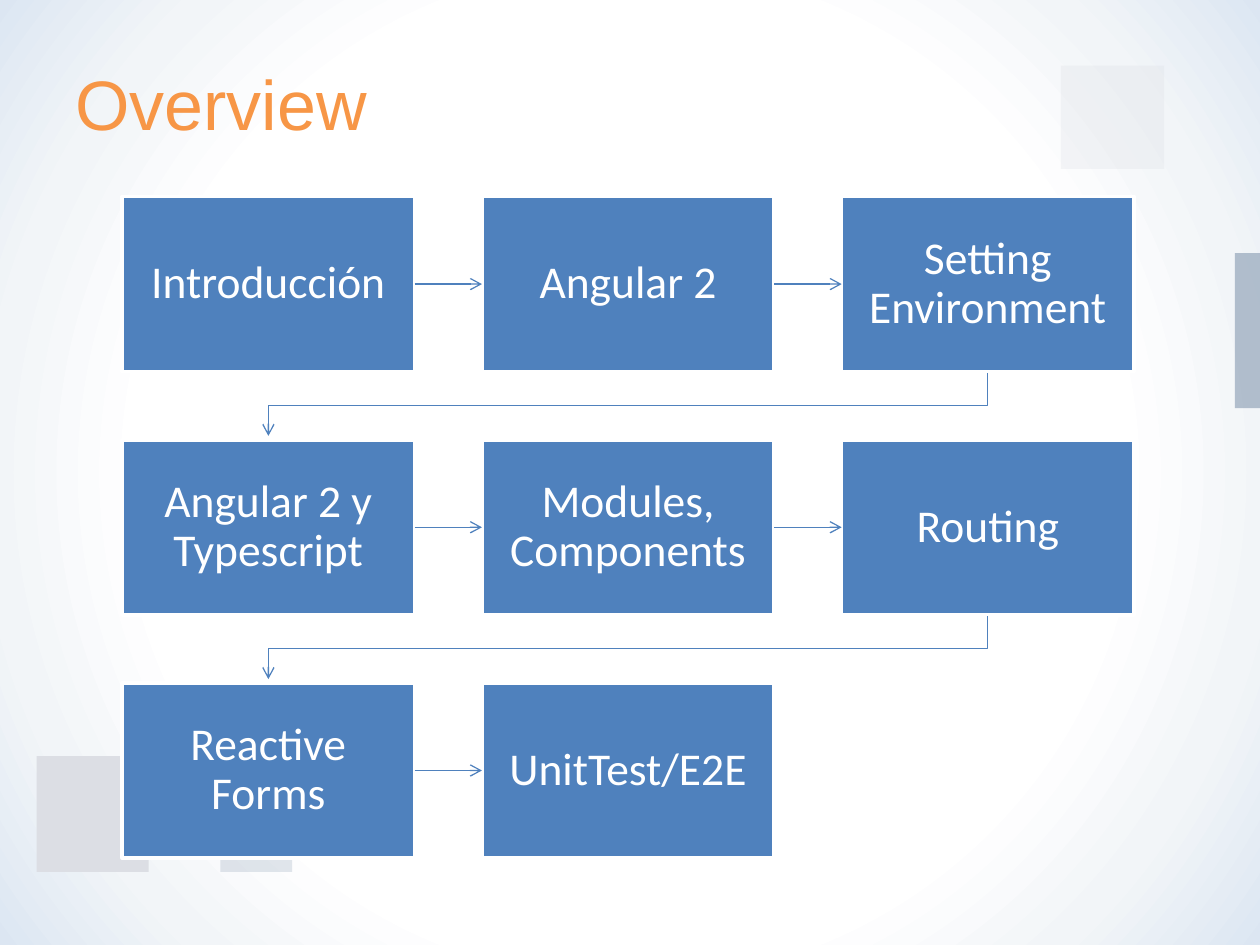
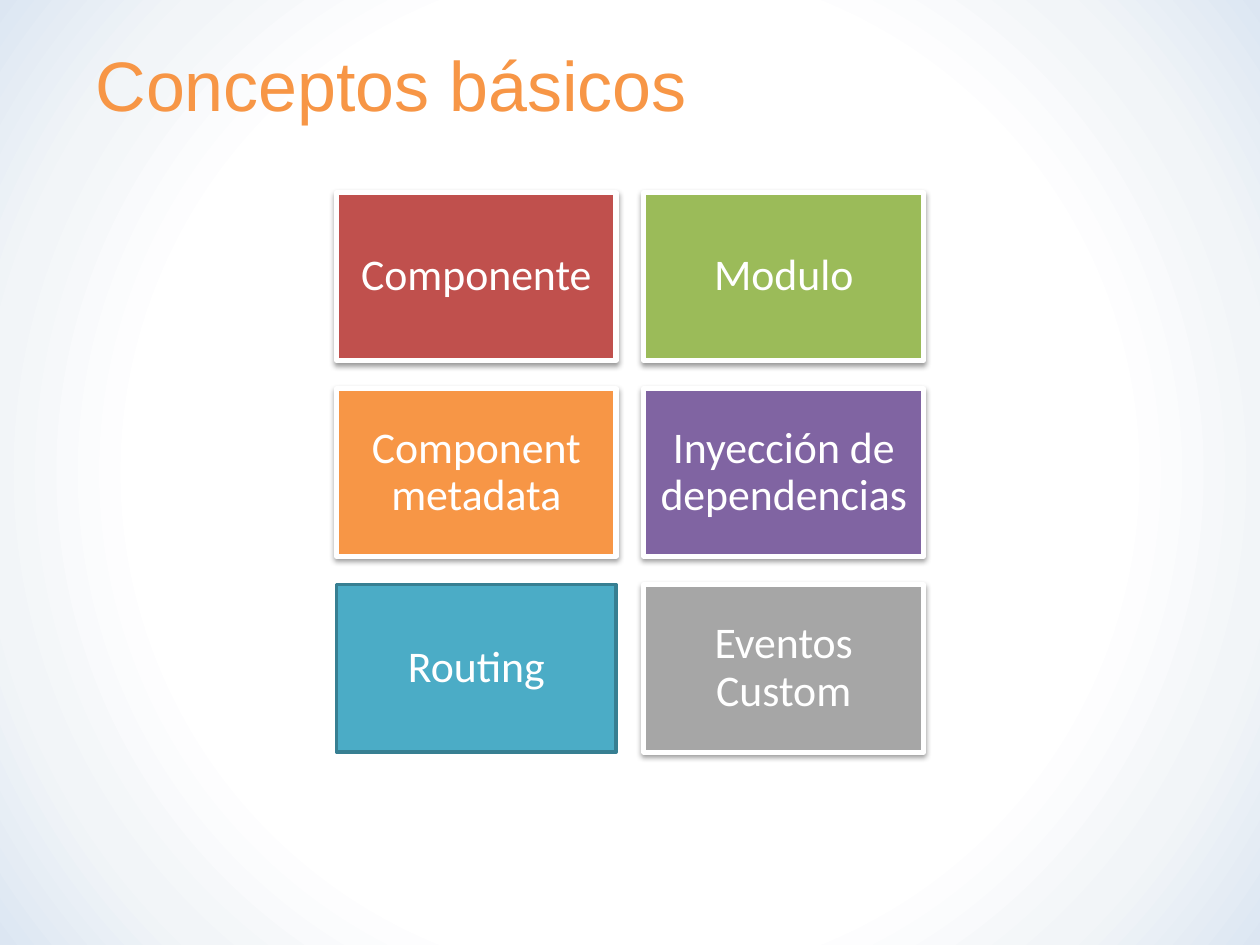
from dataclasses import dataclass

from lxml.etree import SubElement
from pptx import Presentation
from pptx.dml.color import RGBColor
from pptx.enum.shapes import MSO_CONNECTOR, MSO_SHAPE
from pptx.enum.text import MSO_ANCHOR, PP_ALIGN
from pptx.oxml.ns import qn
from pptx.util import Inches, Pt

WHITE = RGBColor(0xFF, 0xFF, 0xFF)
MIST = RGBColor(0xF2, 0xF5, 0xF8)
PALE_BLUE = RGBColor(0xDC, 0xE6, 0xF2)
STEEL = RGBColor(0x85, 0x99, 0xB0)
SILVER = RGBColor(0xDC, 0xDE, 0xE4)
BLUE = RGBColor(0x4F, 0x81, 0xBD)
RED = RGBColor(0xC0, 0x50, 0x4D)
GREEN = RGBColor(0x9B, 0xBB, 0x59)
ORANGE = RGBColor(0xF7, 0x96, 0x46)
PURPLE = RGBColor(0x80, 0x64, 0xA2)
AQUA = RGBColor(0x4B, 0xAC, 0xC6)
DARK_AQUA = RGBColor(0x37, 0x7F, 0x92)
GRAY = RGBColor(0xA6, 0xA6, 0xA6)

TITLE_FONT = "Arial"
BODY_FONT = "Calibri"

TOPICS = ["Introducción", "Angular 2", "Setting Environment",
          "Angular 2 y Typescript", "Modules, Components", "Routing",
          "Reactive Forms", "UnitTest/E2E"]
CONCEPTS = [("Componente", RED), ("Modulo", GREEN),
            ("Component metadata", ORANGE), ("Inyección de dependencias", PURPLE),
            ("Routing", AQUA), ("Eventos Custom", GRAY)]
SQUARES = [((9.8, 2.01, 0.2, 1.23), STEEL, 60),
           ((1.75, 6.36, 0.57, 0.56), STEEL, 24),
           ((0.29, 6, 0.89, 0.92), SILVER, 100),
           ((8.42, 0.52, 0.82, 0.82), SILVER, 28)]


@dataclass
class Grid:
    left: float
    top: float
    width: float
    height: float
    gap_x: float
    gap_y: float
    columns: int

    def cell(self, index):
        row, column = divmod(index, self.columns)
        return (self.left + column * (self.width + self.gap_x),
                self.top + row * (self.height + self.gap_y),
                self.width, self.height)


TOPIC_GRID = Grid(0.97, 1.56, 2.32, 1.39, 0.535, 0.54, 3)
CONCEPT_GRID = Grid(2.67, 1.53, 2.22, 1.33, 0.22, 0.225, 2)


def set_background(master):
    fill = master.background.fill
    fill.gradient()
    gradient = master.element.find(".//" + qn("a:gradFill"))
    for child in list(gradient):
        gradient.remove(child)
    stops = SubElement(gradient, qn("a:gsLst"))
    for position, color in ((62, WHITE), (81, MIST), (100, PALE_BLUE)):
        stop = SubElement(stops, qn("a:gs"), pos=str(position * 1000))
        SubElement(stop, qn("a:srgbClr"), val=str(color))
    circle = SubElement(gradient, qn("a:path"), path="circle")
    SubElement(circle, qn("a:fillToRect"), l="50000", t="50000", r="50000", b="50000")


def write(shape, text, font, size, color, margin=None):
    frame = shape.text_frame
    frame.word_wrap = True
    frame.vertical_anchor = MSO_ANCHOR.MIDDLE
    frame.text = text
    if margin is not None:
        frame.margin_left = frame.margin_right = Inches(margin)
        frame.margin_top = frame.margin_bottom = Inches(margin)
    para = frame.paragraphs[0]
    span = para.runs[0]
    span.font.name = font
    span.font.size = Pt(size)
    span.font.color.rgb = color
    return para


def add_title(page, text, place):
    box = page.shapes.add_textbox(*map(Inches, place))
    write(box, text, TITLE_FONT, 40, ORANGE)


def add_rectangle(page, place, color):
    box = page.shapes.add_shape(MSO_SHAPE.RECTANGLE, *map(Inches, place))
    box.shadow.inherit = False
    box.fill.solid()
    box.fill.fore_color.rgb = color
    box.line.fill.background()
    return box


def add_square(page, place, color, opacity):
    square = add_rectangle(page, place, color)
    tint = square.element.spPr.find(".//" + qn("a:srgbClr"))
    SubElement(tint, qn("a:alpha"), val=str(opacity * 1000))


def add_text_box(page, place, text, color, size, margin, border, border_width):
    box = add_rectangle(page, place, color)
    box.line.color.rgb = border
    box.line.width = Pt(border_width)
    para = write(box, text, BODY_FONT, size, WHITE, margin)
    para.alignment = PP_ALIGN.CENTER
    para.line_spacing = 0.9
    return box


def add_soft_shadow(box):
    effects = box.element.spPr.find(qn("a:effectLst"))
    shadow = SubElement(effects, qn("a:outerShdw"), blurRad=str(Pt(3.1)),
                        dist=str(Pt(1.6)), dir="5400000", rotWithShape="0")
    color = SubElement(shadow, qn("a:srgbClr"), val="000000")
    SubElement(color, qn("a:alpha"), val="38000")


def style_arrow(arrow):
    arrow.line.color.rgb = BLUE
    arrow.line.width = Pt(0.75)
    SubElement(arrow.line._get_or_add_ln(), qn("a:tailEnd"), type="arrow")


def add_side_arrow(page, start, end):
    arrow = page.shapes.add_connector(MSO_CONNECTOR.STRAIGHT, 0, 0, 0, 0)
    arrow.begin_connect(start, 3)
    arrow.end_connect(end, 1)
    style_arrow(arrow)
    SubElement(arrow.element.spPr, qn("a:effectLst"))


def add_return_arrow(page, start, end):
    start_x = start.left + start.width // 2
    end_x = end.left + end.width // 2
    bottom = start.top + start.height
    middle = (bottom + end.top) // 2
    outline = page.shapes.build_freeform(start_x, bottom + Inches(0.01))
    outline.add_line_segments([(start_x, middle), (end_x, middle),
                               (end_x, end.top - Inches(0.03))], close=False)
    arrow = outline.convert_to_shape()
    arrow.shadow.inherit = False
    arrow.fill.background()
    style_arrow(arrow)


def build_overview(page):
    add_title(page, "Overview", (0.5, 0.06, 8.28, 1.5))
    for square in SQUARES:
        add_square(page, *square)
    boxes = [add_text_box(page, TOPIC_GRID.cell(index), topic, BLUE, 26, 0.2, WHITE, 2)
             for index, topic in enumerate(TOPICS)]
    for index, (start, end) in enumerate(zip(boxes, boxes[1:]), 1):
        if index % TOPIC_GRID.columns:
            add_side_arrow(page, start, end)
        else:
            add_return_arrow(page, start, end)


def build_concepts(page):
    add_title(page, "Conceptos básicos", (0.66, 0, 9.18, 1.32))
    for index, (concept, color) in enumerate(CONCEPTS):
        outlined = color == AQUA
        border, width = (DARK_AQUA, 2) if outlined else (WHITE, 3)
        box = add_text_box(page, CONCEPT_GRID.cell(index), concept, color, 25, 0.1,
                           border, width)
        if not outlined:
            add_soft_shadow(box)


def main():
    deck = Presentation()
    deck.slide_width = Inches(10)
    deck.slide_height = Inches(7.5)
    set_background(deck.slide_master)
    for build in (build_overview, build_concepts):
        build(deck.slides.add_slide(deck.slide_layouts[6]))
    deck.save("out.pptx")


if __name__ == "__main__":
    main()
